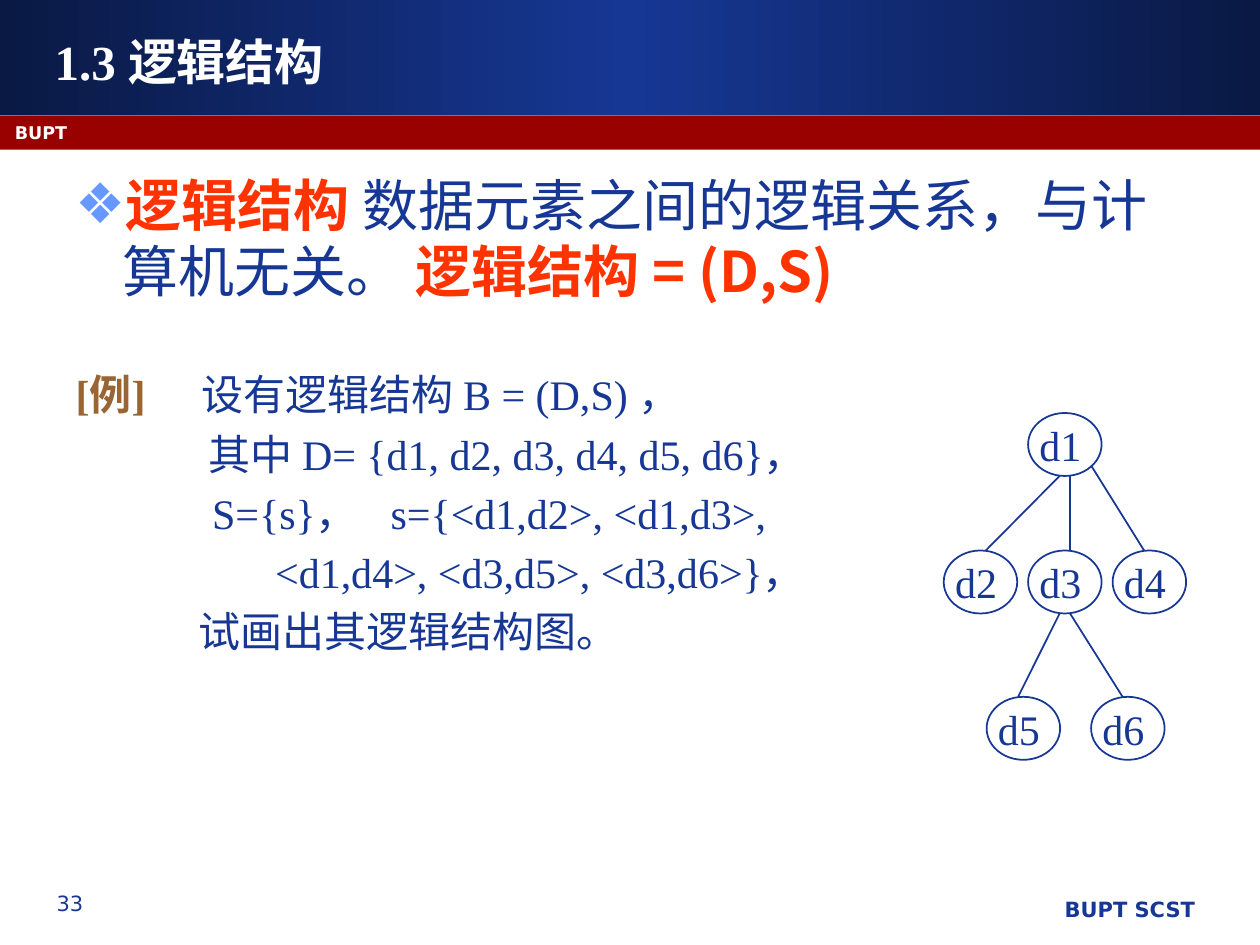
"""Build the slide that defines a logical structure and draws its example graph."""
from copy import deepcopy
from dataclasses import dataclass

from lxml import etree
from pptx import Presentation
from pptx.dml.color import RGBColor
from pptx.enum.shapes import MSO_CONNECTOR, MSO_SHAPE
from pptx.enum.text import MSO_ANCHOR, MSO_AUTO_SIZE, PP_ALIGN
from pptx.oxml.ns import qn
from pptx.util import Pt

RECT, OVAL, LINE = MSO_SHAPE.RECTANGLE, MSO_SHAPE.OVAL, MSO_CONNECTOR.STRAIGHT
TOP, MIDDLE = MSO_ANCHOR.TOP, MSO_ANCHOR.MIDDLE
LEFT, CENTER, RIGHT = PP_ALIGN.LEFT, PP_ALIGN.CENTER, PP_ALIGN.RIGHT


@dataclass(frozen=True)
class Theme:
    blue: str = "163794"
    navy: str = "0A1944"
    bar: str = "990000"
    red: str = "FF3300"
    brown: str = "996633"
    bullet: str = "6699FF"
    white: str = "FFFFFF"
    serif: str = "Times New Roman"
    cjk: str = "Noto Sans CJK SC"
    sans: str = "DejaVu Sans"
    lead: int = 32
    title: int = 28
    text: int = 24
    footer: int = 12
    label: int = 10


T = Theme()

TITLE = [("1.3 ", T.serif), ("逻辑结构", T.cjk)]
LEAD = [
    ("逻辑结构 ", T.red, True),
    ("数据元素之间的逻辑关系，与计算机无关。 ", T.blue, False),
    ("逻辑结构 = (D,S)", T.red, True),
]
EXAMPLE = [
    (0, 70, [("[例]\t", T.brown, True), ("设有逻辑结构 B = (D,S) ，", T.blue, False)]),
    (76, None, [("其中 D= {d1, d2, d3, d4, d5, d6}，", T.blue, False)]),
    (78, 189, [("S={s}，\ts={<d1,d2>, <d1,d3>,", T.blue, False)]),
    (114, None, [("<d1,d4>, <d3,d5>, <d3,d6>}，", T.blue, False)]),
    (70, None, [("试画出其逻辑结构图。", T.blue, False)]),
]
LABELS = [
    ("BUPT SCST", (303, 509, 387, 25), T.footer, T.blue, True, RIGHT),
    ("33", (8.5, 505.5, 63, 25), T.footer, T.blue, False, CENTER),
    ("BUPT", (1.4, 66.3, 666, 18), T.label, T.white, True, LEFT),
]
NODE_W, NODE_H = 42, 36
NODES = {
    "d1": (608.5, 254), "d2": (560.3, 332.6), "d3": (608.5, 332.6),
    "d4": (656.8, 332.6), "d5": (584.8, 416.2), "d6": (644.5, 416.2),
}
EDGES = [
    ("d1", "d2", (-3, 18), 3), ("d1", "d3", (3, 18), 3), ("d1", "d4", (15, 12), -3),
    ("d3", "d5", (-3, 18), -3), ("d3", "d6", (3, 18), -3),
]


def rgb(value):
    return RGBColor.from_string(value)


def pts(*values):
    return [Pt(v) for v in values]


def add_text(p, text, *, size, color, font=T.serif, bold=False):
    r = p.add_run()
    r.text = text
    r.font.size, r.font.bold, r.font.name = Pt(size), bold, font
    r.font.color.rgb = rgb(color)
    etree.SubElement(r.font._element, qn("a:ea"), typeface=T.cjk)


def set_frame(tf, anchor):
    tf.word_wrap, tf.auto_size, tf.vertical_anchor = True, MSO_AUTO_SIZE.NONE, anchor


def place(s, box):
    s.left, s.top, s.width, s.height = pts(*box)


def set_list(p, margin, indent, char=None, tab=None):
    pPr = p._p.get_or_add_pPr()
    pPr.set("marL", str(Pt(margin)))
    pPr.set("indent", str(Pt(indent)))
    if char:
        color = etree.SubElement(pPr, qn("a:buClr"))
        etree.SubElement(color, qn("a:srgbClr"), val=T.bullet)
        etree.SubElement(pPr, qn("a:buChar"), char=char)
    else:
        etree.SubElement(pPr, qn("a:buNone"))
    if tab:
        tabs = etree.SubElement(pPr, qn("a:tabLst"))
        etree.SubElement(tabs, qn("a:tab"), pos=str(Pt(tab)), algn="l")


def add_shape(shapes, kind, box):
    s = shapes.add_shape(kind, *pts(*box))
    s.shadow.inherit = False
    s.line.fill.background()
    return s


def add_bands(shapes):
    header = add_shape(shapes, RECT, (0, 0, 720, 65.5))
    header.fill.gradient()
    header.fill.gradient_angle = 0
    stops = header._element.spPr.find(".//" + qn("a:gsLst"))
    stops.append(deepcopy(stops[-1]))
    shades = [(0, T.navy), (0.5, T.blue), (1, T.navy)]
    for stop, (position, color) in zip(header.fill.gradient_stops, shades):
        stop.position = position
        stop.color.rgb = rgb(color)
    bar = add_shape(shapes, RECT, (0, 66, 720, 19.5))
    bar.fill.solid()
    bar.fill.fore_color.rgb = rgb(T.bar)
    for band in (bar, header):
        shapes._spTree.insert(2, band._element)


def add_title(s):
    place(s, (24, 12.5, 666, 44.5))
    set_frame(s.text_frame, MIDDLE)
    p = s.text_frame.paragraphs[0]
    p.alignment = LEFT
    for text, font in TITLE:
        add_text(p, text, size=T.title, color=T.white, font=font, bold=True)


def add_body(s):
    place(s, (36, 94, 648, 410))
    tf = s.text_frame
    set_frame(tf, TOP)
    p = tf.paragraphs[0]
    set_list(p, 27, -27, char="❖")
    p.space_before, p.line_spacing = Pt(0), Pt(38)
    for text, color, bold in LEAD:
        add_text(p, text, size=T.lead, color=color, font=T.cjk, bold=bold)
    for i, (indent, tab, runs) in enumerate(EXAMPLE):
        p = tf.add_paragraph()
        set_list(p, 0, indent, tab=tab)
        p.space_before, p.line_spacing = Pt(4.8 if i else 37), Pt(29)
        for text, color, bold in runs:
            add_text(p, text, size=T.text, color=color, bold=bold)


def add_labels(shapes):
    for text, box, size, color, bold, align in LABELS:
        tf = shapes.add_textbox(*pts(*box)).text_frame
        set_frame(tf, TOP)
        p = tf.paragraphs[0]
        p.alignment = align
        add_text(p, text, size=size, color=color, font=T.sans, bold=bold)


def add_graph(shapes):
    for name, (x, y) in NODES.items():
        s = add_shape(shapes, OVAL, (x - NODE_W / 2, y - NODE_H / 2, NODE_W, NODE_H))
        s.fill.background()
        s.line.color.rgb, s.line.width = rgb(T.blue), Pt(1)
        tf = s.text_frame
        set_frame(tf, MIDDLE)
        tf.margin_left = tf.margin_top = tf.margin_bottom = 0
        tf.margin_right = Pt(5)
        tf.paragraphs[0].alignment = CENTER
        add_text(tf.paragraphs[0], name, size=T.text, color=T.blue)
    for parent, child, (dx, dy), end_dx in EDGES:
        (x1, y1), (x2, y2) = NODES[parent], NODES[child]
        ends = pts(x1 + dx, y1 + dy, x2 + end_dx, y2 - NODE_H / 2)
        edge = shapes.add_connector(LINE, *ends)
        edge.line.color.rgb, edge.line.width = rgb(T.blue), Pt(1)
        etree.SubElement(edge._element.spPr, qn("a:effectLst"))


def main():
    prs = Presentation()
    prs.slide_width, prs.slide_height = pts(720, 540)
    slide = prs.slides.add_slide(prs.slide_layouts[1])
    add_bands(slide.shapes)
    add_title(slide.shapes.title)
    add_body(slide.placeholders[1])
    add_labels(slide.shapes)
    add_graph(slide.shapes)
    prs.save("out.pptx")


if __name__ == "__main__":
    main()
